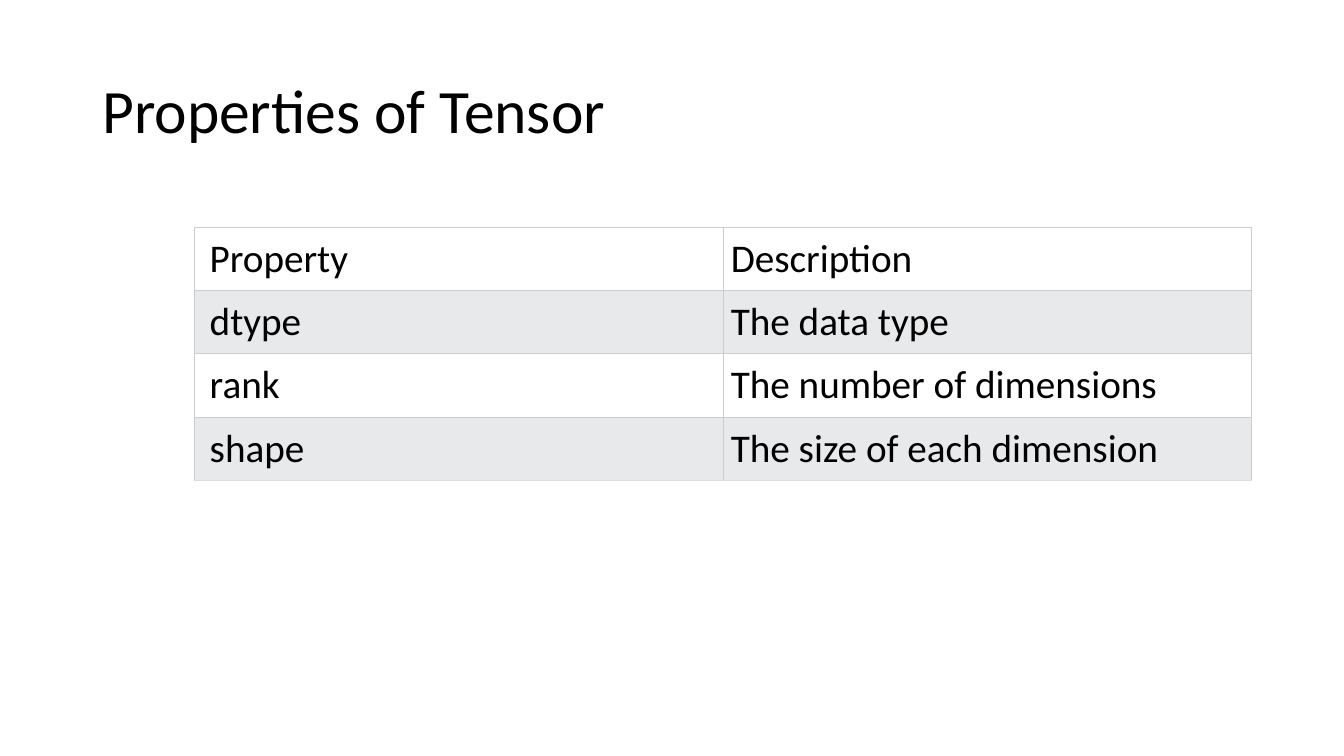
from lxml import etree
from pptx import Presentation
from pptx.dml.color import RGBColor
from pptx.enum.text import MSO_ANCHOR
from pptx.oxml.ns import qn
from pptx.util import Pt

MIDDLE = MSO_ANCHOR.MIDDLE
BLACK = RGBColor(0x00, 0x00, 0x00)
WHITE = RGBColor(0xFF, 0xFF, 0xFF)
BAND = RGBColor(0xE7, 0xE9, 0xEB)
RULE = RGBColor(0xCC, 0xCC, 0xCC)
LAST_RULE = RGBColor(0xDD, 0xDD, 0xDD)

FONT = "Calibri"
PAD = 5.5
FIRST_PAD = 11
ROWS = [
    ("Property", "Description"),
    ("dtype", "The data type"),
    ("rank", "The number of dimensions"),
    ("shape", "The size of each dimension"),
]


def write_text(frame, text, size, line_spacing=None):
    para = frame.paragraphs[0]
    para.line_spacing = line_spacing
    span = para.add_run()
    span.text = text
    span.font.name = FONT
    span.font.size = Pt(size)
    span.font.color.rgb = BLACK


def add_border(cell, side, color):
    properties = cell._tc.get_or_add_tcPr()
    line = etree.SubElement(properties, qn(f"a:ln{side}"), w=str(Pt(0.75)))
    fill = etree.SubElement(line, qn("a:solidFill"))
    etree.SubElement(fill, qn("a:srgbClr"), val=str(color))


def add_title(page, left, top, width, height):
    box = page.shapes.add_textbox(Pt(left), Pt(top), Pt(width), Pt(height))
    frame = box.text_frame
    frame.word_wrap = True
    frame.vertical_anchor = MIDDLE
    write_text(frame, "Properties of Tensor", 44, line_spacing=0.9)


def add_property_table(page, left, top, width, height):
    table = page.shapes.add_table(
        len(ROWS), len(ROWS[0]), Pt(left), Pt(top), Pt(width), Pt(height)
    ).table
    last = len(ROWS) - 1
    for r, texts in enumerate(ROWS):
        for c, text in enumerate(texts):
            cell = table.cell(r, c)
            cell.margin_left = Pt(PAD if c else FIRST_PAD)
            cell.margin_right = cell.margin_top = cell.margin_bottom = Pt(PAD)
            for side in "LRTB":
                is_last_rule = r == last and side == "B"
                add_border(cell, side, LAST_RULE if is_last_rule else RULE)
            cell.fill.solid()
            cell.fill.fore_color.rgb = BAND if r % 2 else WHITE
            write_text(cell.text_frame, text, 28)


def main():
    """Build the slide on the properties of a tensor."""
    deck = Presentation()
    deck.slide_width, deck.slide_height = Pt(960), Pt(540)
    page = deck.slides.add_slide(deck.slide_layouts[6])
    add_title(page, 66, 28.75, 828, 104.4)
    add_property_table(page, 138.8, 162.5, 755.4, 180.6)
    deck.save("out.pptx")


if __name__ == "__main__":
    main()
